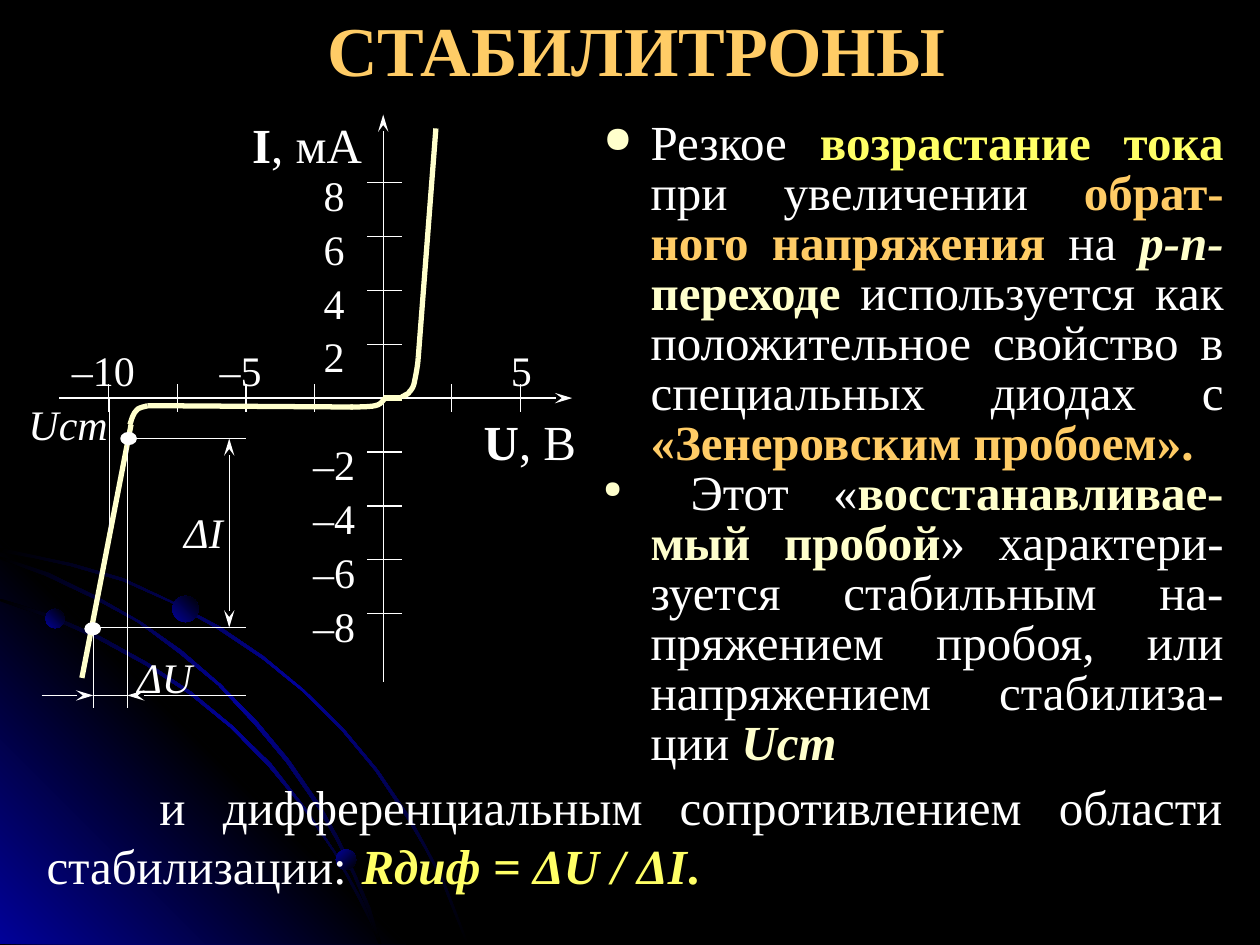
from lxml import etree
from pptx import Presentation
from pptx.dml.color import RGBColor
from pptx.enum.shapes import MSO_CONNECTOR, MSO_SHAPE
from pptx.enum.text import PP_ALIGN
from pptx.oxml.ns import qn
from pptx.util import Pt

STRAIGHT = MSO_CONNECTOR.STRAIGHT
OVAL = MSO_SHAPE.OVAL
LEFT, CENTER, JUSTIFY = PP_ALIGN.LEFT, PP_ALIGN.CENTER, PP_ALIGN.JUSTIFY
WHITE, CREAM, YELLOW, ORANGE = "FFFFFF", "FFFFCC", "FFFF66", "FFCC66"
BLACK, BLUE = "000000", "010199"

ARCS = [
    [(41, 322), (20, 317.5), (0, 313), (0, 315.5), (20, 319), (40.5, 323.5), (70, 332),
     (97, 344), (124.5, 359.5), (150, 376.5), (173.5, 395.5), (195, 417), (214.5, 440.5),
     (232.5, 467.5), (242.5, 484.5), (252, 502.5), (259, 520.5), (266.5, 539.5),
     (268, 539.5), (260.5, 520.5), (253.5, 502.5), (244, 484.5), (234, 466.5), (216, 440),
     (196, 416), (174, 394.5), (150.5, 375), (125.5, 358), (98, 343.5), (70.5, 330.5)],
    [(205, 514), (211.5, 527), (216.5, 539.5), (218, 539.5), (213, 525.5), (206, 512.5),
     (191.5, 486.5), (174, 461), (155, 436.5), (132.5, 414.5), (109.5, 395.5), (84, 378.5),
     (57, 363.5), (29.5, 351.5), (0, 342), (0, 343.5), (28, 353), (55.5, 365), (83, 380),
     (108, 396.5), (132, 416), (153.5, 438), (173, 461.5), (191, 487.5)],
    [(0, 318), (0, 319.5), (26, 329), (53.5, 342), (78.5, 355.5), (102, 373),
     (124.5, 391.5), (145.5, 414), (163.5, 435.5), (181.5, 461.5), (192, 480),
     (201.5, 499.5), (210, 520), (216.5, 539.5), (218, 539.5), (211.5, 518.5), (203, 499),
     (193.5, 479), (183, 460), (165, 434), (147, 412.5), (126, 391), (103.5, 371.5),
     (80, 355), (54.5, 340.5), (28, 327.5)],
]


def rgb(color):
    return RGBColor.from_string(color)


def bezier(start, *segments):
    points = [start]
    for controls in segments:
        corners = [points[-1], *controls]
        for step in range(1, 7):
            t = step / 6
            weights = ((1 - t) ** 3, 3 * t * (1 - t) ** 2, 3 * t * t * (1 - t), t ** 3)
            points.append(tuple(sum(w * corner[axis] for w, corner in zip(weights, corners))
                                for axis in (0, 1)))
    return points


class Painter:
    font = "Times New Roman"

    def __init__(self, slide):
        self.slide = slide
        self.shapes = slide.shapes

    def line(self, start, end, color=WHITE, width=0.75, head=False, tail=False):
        ends = [Pt(value) for value in (*start, *end)]
        connector = self.shapes.add_connector(STRAIGHT, *ends)
        connector.line.color.rgb = rgb(color)
        connector.line.width = Pt(width)
        outline = connector._element.spPr.find(qn("a:ln"))
        for tag, wanted in (("a:headEnd", head), ("a:tailEnd", tail)):
            if wanted:
                etree.SubElement(outline, qn(tag), type="stealth", w="med", len="lg")
        etree.SubElement(connector._element.spPr, qn("a:effectLst"))

    def outline(self, points, closed=False):
        corners = [(Pt(x), Pt(y)) for x, y in points]
        builder = self.shapes.build_freeform(*corners[0], scale=1.0)
        builder.add_line_segments(corners[1:], close=closed)
        shape = builder.convert_to_shape()
        shape.shadow.inherit = False
        return shape

    def curve(self, points):
        shape = self.outline(points)
        shape.fill.background()
        shape.line.color.rgb = rgb(CREAM)
        shape.line.width = Pt(3)

    def ellipse(self, left, top, width, height):
        shape = self.shapes.add_shape(OVAL, Pt(left), Pt(top), Pt(width), Pt(height))
        shape.shadow.inherit = False
        return shape

    def dot(self, x, y):
        shape = self.ellipse(x - 4, y - 3, 8, 6)
        shape.fill.solid()
        shape.fill.fore_color.rgb = rgb(WHITE)
        shape.line.color.rgb = rgb(WHITE)
        shape.line.width = Pt(1.5)

    def gradient(self, shape, colors, angle):
        shape.line.fill.background()
        shape.fill.gradient()
        shape.fill.gradient_angle = 360 - angle
        stops = shape._element.spPr.find(".//" + qn("a:gsLst"))
        for stop in list(stops):
            stops.remove(stop)
        for index, color in enumerate(colors):
            position = 100000 * index // (len(colors) - 1)
            stop = etree.SubElement(stops, qn("a:gs"), pos=str(position))
            etree.SubElement(stop, qn("a:srgbClr"), val=color)

    def box(self, left, top, width, height, inset=True):
        box = self.shapes.add_textbox(Pt(left), Pt(top), Pt(width), Pt(height))
        frame = box.text_frame
        frame.word_wrap = True
        if not inset:
            frame.margin_left = frame.margin_right = Pt(0)
            frame.margin_top = frame.margin_bottom = Pt(0)
        return frame

    def add_spans(self, para, spans, size, align):
        para.alignment = align
        para.font.name = self.font
        para.font.size = Pt(size)
        for text, color, style in spans:
            span = para.add_run()
            span.text = text
            span.font.color.rgb = rgb(color)
            if "b" in style:
                span.font.bold = True
            if "i" in style:
                span.font.italic = True

    def label(self, left, top, width, spans, size=24, align=CENTER):
        frame = self.box(left, top, width, 23, inset=False)
        self.add_spans(frame.paragraphs[0], spans, size, align)

    def bullet(self, para):
        para.line_spacing = 0.85
        properties = para._p.get_or_add_pPr()
        properties.set("marL", str(Pt(27)))
        properties.set("indent", str(Pt(-27)))
        color = etree.SubElement(properties, qn("a:buClr"))
        etree.SubElement(color, qn("a:srgbClr"), val=CREAM)
        etree.SubElement(properties, qn("a:buSzPct"), val="75000")
        etree.SubElement(properties, qn("a:buChar"), char="●")


def draw_background(painter):
    fill = painter.slide.background.fill
    fill.solid()
    fill.fore_color.rgb = rgb(BLACK)
    corner = painter.outline([(0, 307.5), (0, 539.5), (232, 539.5)], closed=True)
    painter.gradient(corner, (BLUE, BLACK, BLUE), 315)
    for arc in ARCS:
        painter.gradient(painter.outline(arc, closed=True), (BLACK, BLUE, BLACK), 45)
    for left, top, size, angle in ((26, 348, 11, 315), (192, 485.5, 11.5, 45), (98.5, 340.5, 15, 315)):
        painter.gradient(painter.ellipse(left, top, size, size), (BLUE, BLACK), angle)


def draw_graph(painter):
    zero_x, zero_y = 219, 227.5
    painter.line((zero_x, 389.5), (zero_x, 65.5), tail=True)
    painter.line((34, zero_y), (327, zero_y), tail=True)
    for step in (-4, -3, -2, -1, 1, 2):
        x = zero_x + 39.2 * step
        painter.line((x, zero_y - 8), (x, zero_y + 8))
    for step in (-4, -3, -2, -1, 1, 2, 3, 4):
        y = zero_y - 30.8 * step
        painter.line((210, y), (229.5, y))
        number = str(2 * step).replace("-", "–")
        painter.label(171.4, y - 7.6, 39, [(number, WHITE, "")])
    for center, number in ((59, "–10"), (137.5, "–5"), (298, "5")):
        painter.label(center - 24.5, 196.6, 49, [(number, WHITE, "")])
    painter.label(140.4, 65.5, 70, [("I", WHITE, "b"), (", мА", WHITE, "")], 28)
    painter.label(268.6, 235.4, 68.4, [("U", WHITE, "b"), (", В", WHITE, "")], 28)
    painter.label(14.4, zero_y, 49, [("Uст", WHITE, "i")])
    painter.label(101.5, 289.4, 29.5, [("ΔI", WHITE, "i")])
    painter.label(78.5, 372.2, 49, [("ΔU", WHITE, "i")], align=LEFT)

    for start, end in (((84.2, 231.8), (201.6, 232.6)), ((219.6, 227.5), (229.7, 227.5)),
                       ((239, 204.5), (249.1, 73.4)), ((74.9, 242.6), (46.8, 387.4))):
        painter.line(start, end, CREAM, 3)
    painter.curve(bezier((229.7, 226.8), [(229.7, 226.8), (231.1, 226.1), (231.1, 226.1)],
                         [(231.8, 225.4), (233.3, 225.4), (234, 223.9)],
                         [(234.7, 223.2), (236.2, 221.8), (236.9, 218.2)],
                         [(237.6, 214.6), (239, 207.4), (239, 204.5)]))
    painter.curve(bezier((220.3, 227.5), [(218.9, 228.2), (218.2, 231.1), (214.6, 231.8)],
                         [(211.7, 232.6), (203, 232.6), (200.2, 232.6)]))
    painter.curve(bezier((84.2, 231.8), [(82.8, 232.6), (79.2, 232.6), (77.8, 234.7)],
                         [(75.6, 236.9), (74.9, 241.2), (74.2, 242.6)]))

    low_u, high_u, top_i, low_i, right, base = 53.3, 72.7, 250.6, 358.6, 140.4, 397.4
    painter.dot(73.5, top_i)
    painter.dot(53, 359.3)
    painter.line((62.6, zero_y), (62.6, 304.6))
    for u, i in ((high_u, top_i), (low_u, low_i)):
        painter.line((u, i), (right, i))
        painter.line((u, i), (u, 404.6))
    painter.line((131, top_i), (131, low_i), head=True, tail=True)
    painter.line((23.8, base), (low_u, base), tail=True)
    painter.line((low_u, base), (high_u, base))
    painter.line((high_u, base), (right, base), head=True)


def add_text(painter):
    title = painter.box(60, 0, 607, 55.5)
    painter.add_spans(title.paragraphs[0], [("СТАБИЛИТРОНЫ", ORANGE, "b")], 40, CENTER)

    body = painter.box(337.7, 65.5, 368.6, 380)
    first, second = body.paragraphs[0], body.add_paragraph()
    for para in (first, second):
        painter.bullet(para)
    painter.add_spans(first, [
        ("Резкое ", WHITE, ""), ("возрастание тока", YELLOW, "b"),
        (" при увеличении ", WHITE, ""), ("обрат-ного напряжения", ORANGE, "b"),
        (" на ", WHITE, ""), ("p-n-", CREAM, "bi"), ("переходе", CREAM, "b"),
        (" используется как положительное свойство в специальных диодах с ", WHITE, ""),
        ("«Зенеровским пробоем».", ORANGE, "b")], 28, JUSTIFY)
    painter.add_spans(second, [
        (" ", WHITE, ""), ("Этот «", WHITE, ""), ("восстанавливае-мый пробой", CREAM, "b"),
        ("» характери-зуется стабильным на-пряжением пробоя, или напряжением стабилиза-ции ",
         WHITE, ""), ("Uст", CREAM, "bi")], 28, JUSTIFY)
    second.runs[0].font.size = Pt(18)

    ending = painter.box(19.5, 440, 686, 74).paragraphs[0]
    properties = ending._p.get_or_add_pPr()
    properties.set("indent", str(Pt(64.5)))
    tabs = etree.SubElement(properties, qn("a:tabLst"))
    etree.SubElement(tabs, qn("a:tab"), pos=str(Pt(200)), algn="l")
    painter.add_spans(ending, [
        ("и дифференциальным сопротивлением области стабилизации:\t", WHITE, ""),
        ("Rдиф = ΔU / ΔI", YELLOW, "bi"), (".", YELLOW, "b")], 28, JUSTIFY)


def main():
    deck = Presentation()
    deck.slide_width, deck.slide_height = Pt(720), Pt(540)
    painter = Painter(deck.slides.add_slide(deck.slide_layouts[6]))
    draw_background(painter)
    draw_graph(painter)
    add_text(painter)
    deck.save("out.pptx")


if __name__ == "__main__":
    main()
